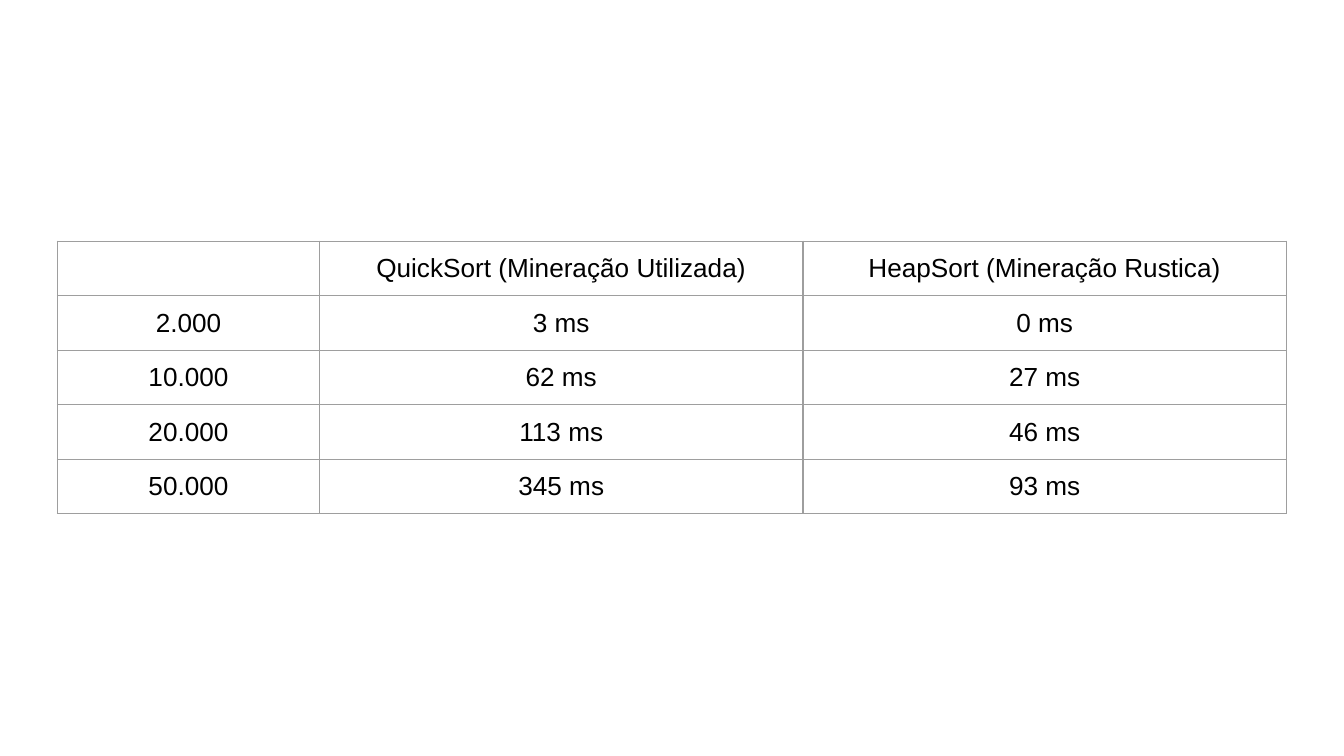
from lxml import etree
from pptx import Presentation
from pptx.dml.color import RGBColor
from pptx.enum.text import MSO_ANCHOR, PP_ALIGN
from pptx.oxml.ns import qn
from pptx.util import Pt

CENTER = PP_ALIGN.CENTER
MIDDLE = MSO_ANCHOR.MIDDLE
BLACK = RGBColor(0, 0, 0)
GRAY = RGBColor(0x9E, 0x9E, 0x9E)

ROWS = [
    ("", "QuickSort (Mineração Utilizada)", "HeapSort (Mineração Rustica)"),
    ("2.000", "3 ms", "0 ms"),
    ("10.000", "62 ms", "27 ms"),
    ("20.000", "113 ms", "46 ms"),
    ("50.000", "345 ms", "93 ms"),
]
WIDE = 259


def add_edges(cell):
    props = cell._tc.get_or_add_tcPr()
    for spot, side in enumerate(("lnL", "lnR", "lnT", "lnB")):
        line = etree.Element(qn(f"a:{side}"), w=str(Pt(0.75)))
        fill = etree.SubElement(line, qn("a:solidFill"))
        etree.SubElement(fill, qn("a:srgbClr"), val=str(GRAY))
        props.insert(spot, line)


def fill_cell(cell, text):
    cell.fill.background()
    cell.vertical_anchor = MIDDLE
    cell.margin_top = cell.margin_bottom = Pt(3)
    add_edges(cell)
    if text:
        para = cell.text_frame.paragraphs[0]
        para.alignment = CENTER
        run = para.add_run()
        run.text = text
        run.font.name = "Arial"
        run.font.size = Pt(14)
        run.font.bold = False
        run.font.color.rgb = BLACK


def add_times(slide, left, top, width, height):
    frame = slide.shapes.add_table(
        len(ROWS), len(ROWS[0]), Pt(left), Pt(top), Pt(width), Pt(height)
    )
    table = frame.table
    table.first_row = table.horz_banding = False
    for col, size in zip(table.columns, (width - 2 * WIDE, WIDE, WIDE)):
        col.width = Pt(size)
    for row, texts in zip(table.rows, ROWS):
        row.height = Pt(height / len(ROWS))
        for cell, text in zip(row.cells, texts):
            fill_cell(cell, text)


def main():
    deck = Presentation()
    deck.slide_width = Pt(720)
    deck.slide_height = Pt(405)
    slide = deck.slides.add_slide(deck.slide_layouts[6])
    add_times(slide, 30.8, 129.3, 658.4, 146)
    deck.save("out.pptx")


if __name__ == "__main__":
    main()
